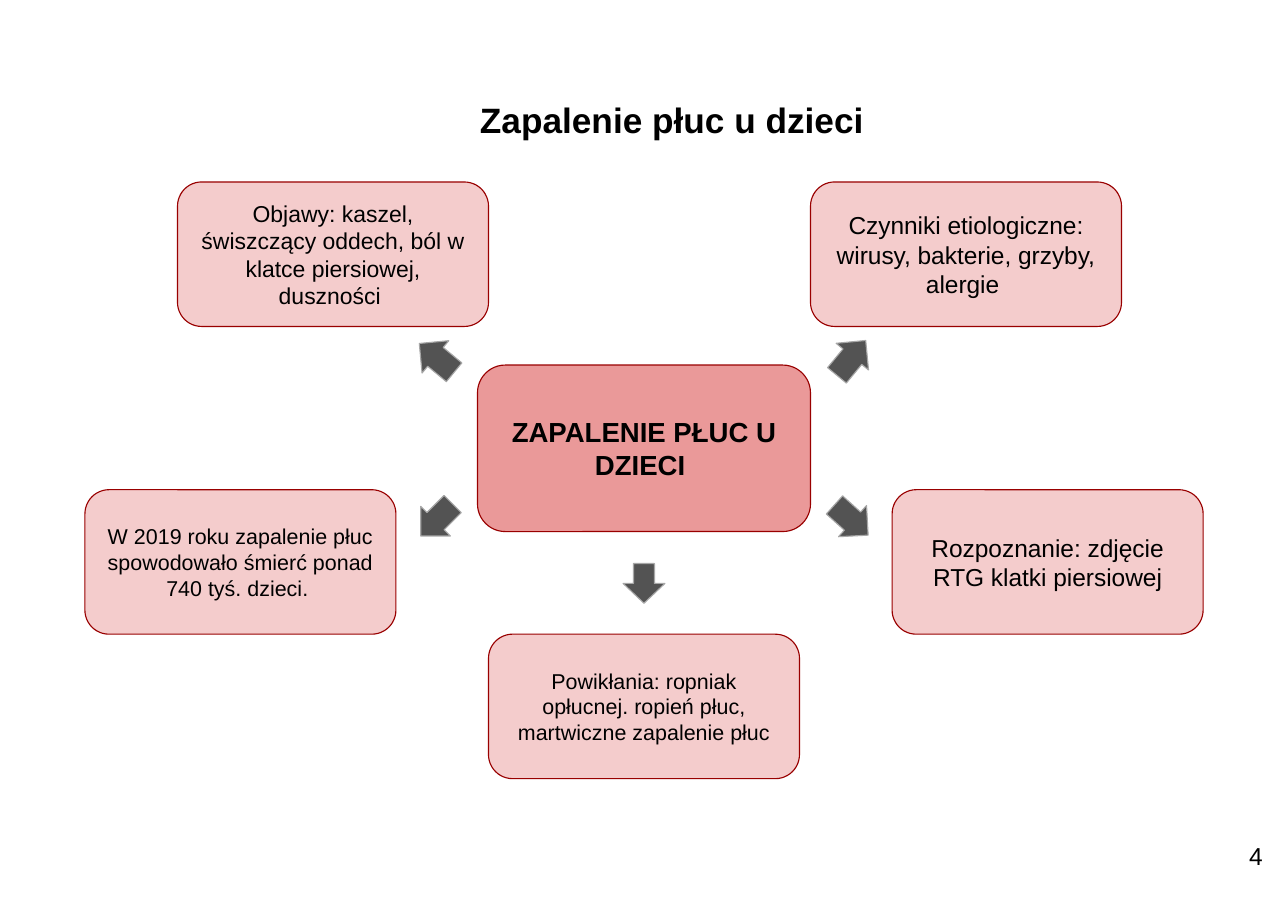
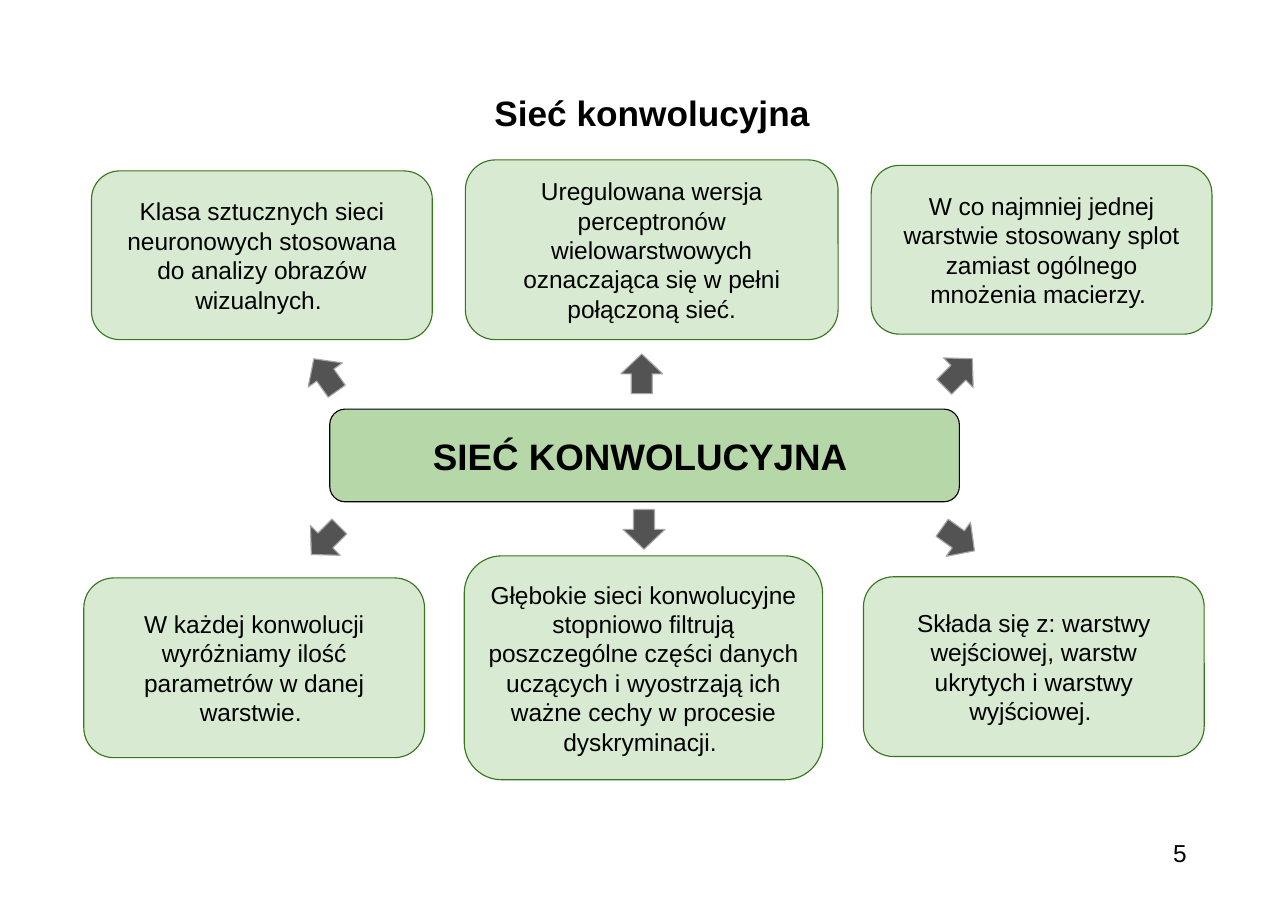
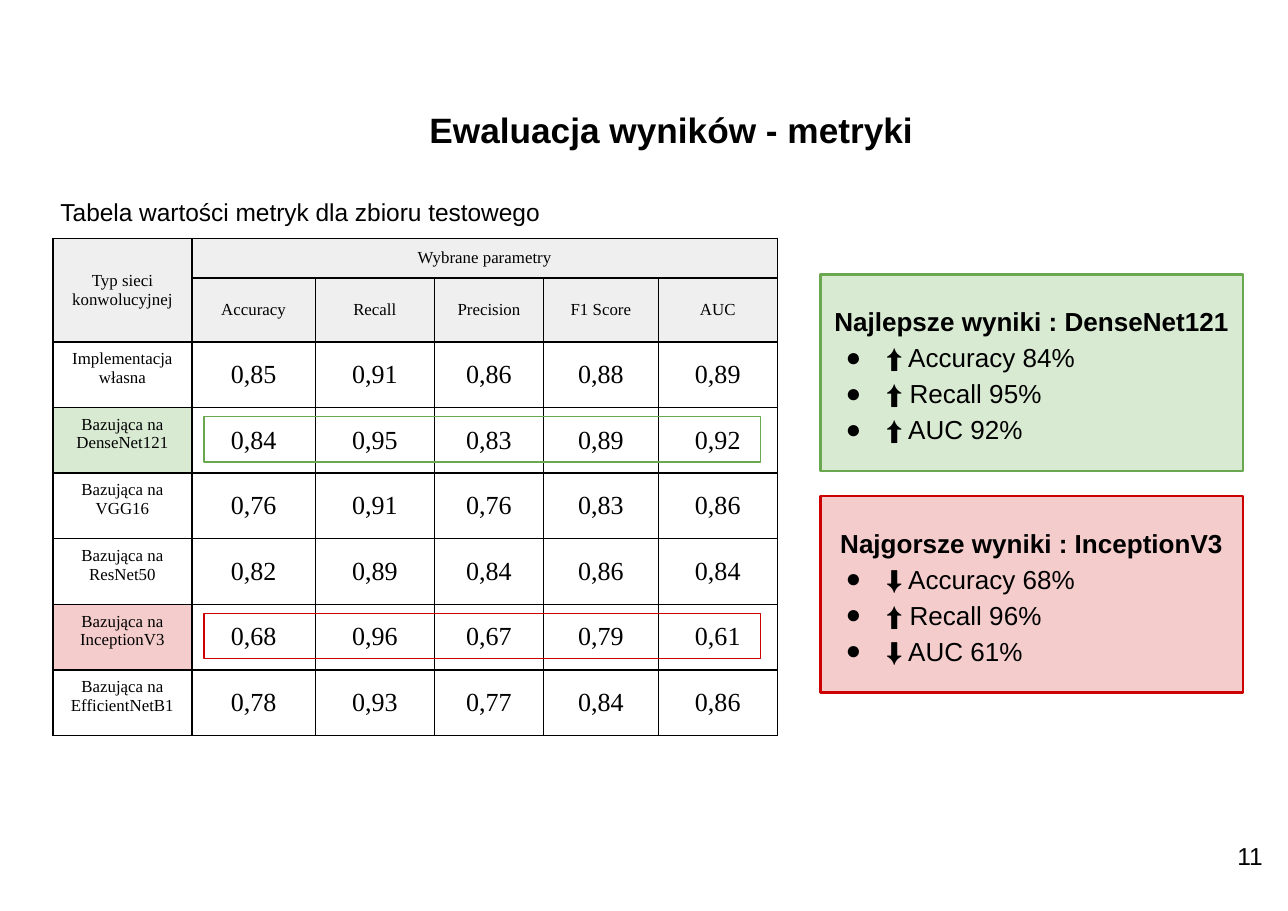
import pptx
import pptx.dml.color
import pptx.enum.shapes
import pptx.enum.text
import pptx.oxml.ns
import pptx.util
import lxml.etree

# Shared grid: one column or row is a tenth of an inch
CELL = pptx.util.Inches(0.1)
COLUMNS, ROWS = 116.8, 82.6

# Shared colours and styles
BLACK, WHITE, HEADER_GRAY = "000000", "FFFFFF", "EFEFEF"
LIGHT_RED, LIGHT_GREEN = "F4CCCC", "D9EAD3"
BRIGHT_RED, BRIGHT_GREEN = "CC0000", "6AA84F"
RED_BOX = {"fill": LIGHT_RED, "line": "990000"}
GREEN_BOX = {"fill": LIGHT_GREEN, "line": "38761D"}
ARROW = {"fill": "535353", "line": "A7A7A7"}
SHAPES = pptx.enum.shapes.MSO_SHAPE
ALIGN = pptx.enum.text.PP_ALIGN
MIDDLE = pptx.enum.text.MSO_ANCHOR.MIDDLE
TOP = pptx.enum.text.MSO_ANCHOR.TOP


def color(hex_string):
    return pptx.dml.color.RGBColor.from_string(hex_string)


def draw(slide, kind, at, text="", size=16, bold=False, align=ALIGN.CENTER,
         inset=1, fill=None, line=None, line_width=0.75):
    """Draw a preset shape, or a text box when kind is None."""
    left, top, width, height = [round(length * CELL) for length in at]
    if kind is None:
        shape = slide.shapes.add_textbox(left, top, width, height)
    else:
        shape = slide.shapes.add_shape(kind, left, top, width, height)
        shape.shadow.inherit = False
        if fill:
            shape.fill.solid()
            shape.fill.fore_color.rgb = color(fill)
        else:
            shape.fill.background()
        shape.line.color.rgb = color(line)
        shape.line.width = pptx.util.Pt(line_width)
    if text:
        margin = round(inset * CELL)
        frame_format = {"word_wrap": True, "text": text,
                        "vertical_anchor": TOP if kind is None else MIDDLE,
                        "margin_left": margin, "margin_right": margin,
                        "margin_top": margin, "margin_bottom": margin}
        for name, value in frame_format.items():
            setattr(shape.text_frame, name, value)
        for paragraph in shape.text_frame.paragraphs:
            paragraph.alignment = align
            font_format = {"name": "Arial", "size": pptx.util.Pt(size), "bold": bold}
            for run in paragraph.runs:
                for name, value in font_format.items():
                    setattr(run.font, name, value)
                run.font.color.rgb = color(BLACK)
    return shape


presentation = pptx.Presentation()
presentation.slide_width = round(COLUMNS * CELL)
presentation.slide_height = round(ROWS * CELL)

# Titles and page numbers of all slides
slides = []
for title, title_at, number, number_at in [
    ("Zapalenie płuc u dzieci", (32, 7.9, 57.9, 5.9), "4", (111.3, 75.7)),
    ("Sieć konwolucyjna", (21.3, 7.3, 75.7, 5.9), "5", (104.4, 75.4)),
    ("Ewaluacja wyników - metryki", (27.8, 8.8, 66.2, 5.9), "11", (111.3, 75.7)),
]:
    slide = presentation.slides.add_slide(presentation.slide_layouts[6])
    draw(slide, None, title_at, title, size=23, bold=True)
    draw(slide, None, (*number_at, 3.8, 3.6), number, align=ALIGN.RIGHT, inset=0.6)
    slides.append(slide)
pneumonia, network, metrics = slides

# Pneumonia: central box and five facts
draw(pneumonia, SHAPES.ROUNDED_RECTANGLE, (43.3, 33.1, 30.2, 15.1),
     "ZAPALENIE PŁUC U DZIECI ", size=18, bold=True, fill="EA9999", line="990000")
for left, top, size, text in [
    (44.3, 57.5, 14, "Powikłania: ropniak opłucnej. ropień płuc, martwiczne zapalenie płuc"),
    (16.1, 16.5, 15, "Objawy: kaszel, świszczący oddech, ból w klatce piersiowej, duszności "),
    (73.5, 16.5, 16, "Czynniki etiologiczne: wirusy, bakterie, grzyby, alergie "),
    (7.7, 44.4, 14, "W 2019 roku zapalenie płuc spowodowało śmierć ponad 740 tyś. dzieci. "),
    (80.9, 44.4, 16, "Rozpoznanie: zdjęcie RTG klatki piersiowej"),
]:
    draw(pneumonia, SHAPES.ROUNDED_RECTANGLE, (left, top, 28.2, 13.1), text,
         size=size, **RED_BOX)

# Pneumonia: arrows, one straight down and four from the corners
draw(pneumonia, SHAPES.DOWN_ARROW, (56.5, 51.1, 3.8, 3.6), **ARROW)
for left, top, rotation in [(75.3, 45.1, 311.9), (37.7, 45.1, 45),
                            (37.7, 30.4, 129.6), (75.3, 30.4, 219.5)]:
    arrow = draw(pneumonia, SHAPES.DOWN_ARROW, (left, top, 3.8, 4.1), **ARROW)
    arrow.rotation = rotation
    arrow.adjustments[0] = 0.58

# Network: central band and six facts
draw(network, SHAPES.ROUNDED_RECTANGLE, (29.9, 37.1, 57.1, 8.4),
     "SIEĆ KONWOLUCYJNA ", size=24, bold=True, fill="B6D7A8", line=BLACK)
for at, text in [
    ((8.3, 15.5, 30.9, 15.3),
     "Klasa sztucznych sieci neuronowych stosowana do analizy obrazów wizualnych. "),
    ((42.2, 14.5, 33.8, 16.3),
     "Uregulowana wersja perceptronów wielowarstwowych oznaczająca się w pełni "
     "połączoną sieć."),
    ((79, 15, 30.9, 15.3),
     "W co najmniej jednej warstwie stosowany splot zamiast ogólnego mnożenia macierzy. "),
    ((7.6, 52.4, 30.9, 16.3),
     "W każdej konwolucji wyróżniamy ilość parametrów w danej warstwie. "),
    ((42.1, 50.4, 32.5, 20.3),
     "Głębokie sieci konwolucyjne stopniowo filtrują poszczególne części danych "
     "uczących i wyostrzają ich ważne cechy w procesie dyskryminacji. "),
    ((78.3, 52.3, 30.9, 16.3),
     "Składa się z: warstwy wejściowej, warstw ukrytych i warstwy wyjściowej. "),
]:
    draw(network, SHAPES.ROUNDED_RECTANGLE, at, text, **GREEN_BOX)

# Network: arrows towards the facts
for left, top, rotation in [(27.6, 32.2, 324.7), (56.3, 32.1, 0), (85, 32, 45),
                            (27.6, 47.2, 225), (56.5, 46.2, 180), (85, 47.1, 125.5)]:
    arrow = draw(network, SHAPES.UP_ARROW, (left, top, 3.8, 3.6), **ARROW)
    arrow.rotation = rotation

# Metrics: table
draw(metrics, None, (4.5, 16.9, 66.2, 4.7),
     "Tabela wartości metryk dla zbioru testowego", align=ALIGN.LEFT)
table_rows = [
    ["Typ sieci konwolucyjnej", "Wybrane parametry", "", "", "", ""],
    ["", "Accuracy", "Recall", "Precision", "F1 Score", "AUC"],
    ["Implementacja własna", "0,85", "0,91", "0,86", "0,88", "0,89"],
    ["Bazująca na DenseNet121", "0,84", "0,95", "0,83", "0,89", "0,92"],
    ["Bazująca na VGG16", "0,76", "0,91", "0,76", "0,83", "0,86"],
    ["Bazująca na ResNet50", "0,82", "0,89", "0,84", "0,86", "0,84"],
    ["Bazująca na InceptionV3", "0,68", "0,96", "0,67", "0,79", "0,61"],
    ["Bazująca na EfficientNetB1", "0,78", "0,93", "0,77", "0,84", "0,86"],
]
column_widths = [12.6, 11.2, 10.8, 9.9, 10.4, 10.8]
row_heights = [3.6, 5.8] + [5.95] * 6
table = metrics.shapes.add_table(
    len(row_heights), len(column_widths), round(4.8 * CELL), round(21.6 * CELL),
    round(sum(column_widths) * CELL), round(sum(row_heights) * CELL)).table
table.first_row = table.horz_banding = False
for column, width in zip(table.columns, column_widths):
    column.width = round(width * CELL)
for row, height in zip(table.rows, row_heights):
    row.height = round(height * CELL)
table.cell(0, 0).merge(table.cell(1, 0))
table.cell(0, 1).merge(table.cell(0, 5))

label_fills = {3: LIGHT_GREEN, 6: LIGHT_RED}
qualified = pptx.oxml.ns.qn
for row_index, texts in enumerate(table_rows):
    for column_index, text in enumerate(texts):
        cell = table.cell(row_index, column_index)
        is_header, is_label = row_index < 2, column_index == 0
        margin = round(0.7 * CELL)
        cell_format = {"margin_left": margin, "margin_right": margin,
                       "margin_top": margin, "margin_bottom": margin,
                       "vertical_anchor": TOP if is_label and not is_header else MIDDLE}
        for name, value in cell_format.items():
            setattr(cell, name, value)
        properties = cell._tc.get_or_add_tcPr()
        for side in ("lnL", "lnR", "lnT", "lnB"):
            border = lxml.etree.SubElement(properties, qualified("a:" + side), w="12700")
            border_fill = lxml.etree.SubElement(border, qualified("a:solidFill"))
            lxml.etree.SubElement(border_fill, qualified("a:srgbClr"), val=BLACK)
        cell.fill.solid()
        cell.fill.fore_color.rgb = color(
            HEADER_GRAY if is_header
            else label_fills.get(row_index, WHITE) if is_label else WHITE)
        if text:
            paragraph = cell.text_frame.paragraphs[0]
            paragraph.alignment = ALIGN.CENTER
            run = paragraph.add_run()
            run.text = text
            font_format = {"name": "Times New Roman", "bold": False,
                           "size": pptx.util.Pt(11 if is_header or is_label else 17)}
            for name, value in font_format.items():
                setattr(run.font, name, value)
            run.font.color.rgb = color(BLACK)

# Metrics: best and worst results, each with a frame around its table row
for callout_top, frame_top, fill, line, lines in [
    (24.9, 37.8, LIGHT_GREEN, BRIGHT_GREEN,
     ["Najlepsze wyniki : DenseNet121", "⬆ Accuracy 84%", "⬆ Recall 95%", "⬆ AUC 92%"]),
    (45, 55.6, LIGHT_RED, BRIGHT_RED,
     ["Najgorsze wyniki : InceptionV3", "⬇ Accuracy 68%", "⬆ Recall 96%", "⬇ AUC 61%"]),
]:
    draw(metrics, SHAPES.RECTANGLE, (18.5, frame_top, 50.5, 4.1), line=line)
    callout = draw(metrics, SHAPES.RECTANGLE, (74.4, callout_top, 38.3, 17.8),
                   "\n".join(lines), size=17, fill=fill, line=line, line_width=1.5)
    heading, *bullets = callout.text_frame.paragraphs
    heading.line_spacing = 1.15
    heading.runs[0].font.bold = True
    for paragraph in bullets:
        paragraph.alignment = ALIGN.LEFT
        paragraph.line_spacing = 1.15
        properties = paragraph._p.get_or_add_pPr()
        properties.set("marL", str(round(5 * CELL)))
        properties.set("indent", str(round(-3.7 * CELL)))
        bullet_color = lxml.etree.SubElement(properties, qualified("a:buClr"))
        lxml.etree.SubElement(bullet_color, qualified("a:srgbClr"), val=BLACK)
        lxml.etree.SubElement(properties, qualified("a:buFont"), typeface="Arial")
        lxml.etree.SubElement(properties, qualified("a:buChar"), char="●")

presentation.save("out.pptx")
